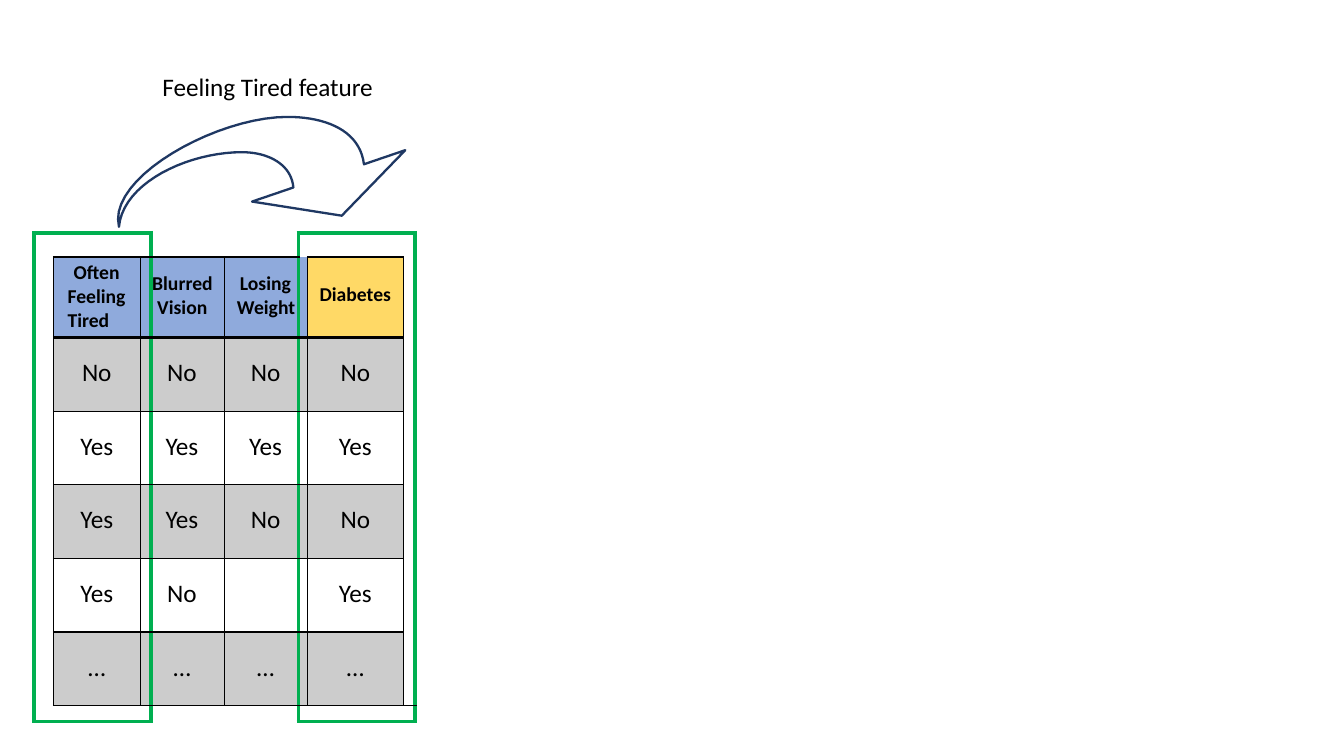
from lxml import etree
from pptx import Presentation, util as u
from pptx.dml.color import RGBColor
from pptx.enum import text
from pptx.oxml import ns

PX = 9144  # 100 px to the inch
COLORS = {"black": "000000", "green": "00AF50", "blue": "8FAADC", "yellow": "FFD966", "navy": "1F3863"}
NO_STYLE = "{2D5ABB26-0587-4C30-8999-92F81FD0307C}"

# The narrow outer rows and columns, and columns 2 and 5, leave room for the green frames.
COLS = [19, 86, 11, 73, 73, 9, 95, 12]
ROWS = [24, 80, 73, 73, 73, 73, 73, 16]
INNER = range(1, 7)  # rows and columns of the data table inside the frames
HEADER_ROW, FIRST_ANSWER_ROW, TARGET_COL = 1, 2, 6

# Top left cell of each merged block: its bottom right cell
MERGES = {(r, c): (r, c2) for r in (0, 7) for c, c2 in ((0, 2), (3, 4), (5, 7))}
MERGES.update({(1, c): (6, c) for c in (0, 7)})

# column: text, top margin, alignment, left indent, first line indent
HEADERS = {
    1: ("Often Feeling Tired", 4, text.PP_ALIGN.JUSTIFY, 14, 6),
    3: ("Blurred Vision", 15, text.PP_ALIGN.LEFT, 6, -5),
    4: ("Losing Weight", 15, text.PP_ALIGN.LEFT, 12, 3),
    6: ("Diabetes", 26, text.PP_ALIGN.CENTER, 0, 0),
}
SIDE_MARGINS = {3: (0, 12), 4: (8, 0)}
ANSWERS = [
    ["No", "No", "No", "No"],
    ["Yes", "Yes", "Yes", "Yes"],
    ["Yes", "Yes", "No", "No"],
    ["Yes", "No", "", "Yes"],
    ["…", "…", "…", "…"],
]
ANSWER_AT = {
    (r, c): answer
    for r, answers in enumerate(ANSWERS, FIRST_ANSWER_ROW)
    for c, answer in zip(HEADERS, answers)
    if answer
}

# Bezier curves of the arrow: start, two control points, end
OUTER_BEND = [
    ((361, 163), (357, 130), (324, 116), (285, 116)),
    ((285, 116), (215, 116), (106, 176), (118, 225)),
]
INNER_BEND = [
    ((118, 225), (122, 181), (187, 151), (240, 151)),
    ((240, 151), (266, 151), (289, 163), (291, 186)),
]
ARROWHEAD = [(250, 200), (339, 214), (402, 149)]
CURVE_STEPS = 20


def edge(vertical, line, track):
    """Colour and width in points of a grid line where it passes one row or column."""
    if vertical:
        if line in (0, 3, 5, 8):
            return "green", 3
        return ("black", 1) if track in INNER else None
    if line in (0, 8):
        return None if track in (3, 4) else ("green", 3)
    if (line, track) == (1, 5):
        return None
    if track in INNER or (line, track) == (7, 7):
        return "black", 2.25 if line == FIRST_ANSWER_ROW else 1
    return None


def write(p, words, size, bold=False):
    r = p.add_run()
    r.text = words
    for key, value in {"name": "Calibri", "size": u.Pt(size), "bold": bold}.items():
        setattr(r.font, key, value)
    r.font.color.rgb = RGBColor.from_string(COLORS["black"])


prs = Presentation()
prs.slide_width, prs.slide_height = 1333 * PX, 750 * PX
s = prs.slides.add_slide(prs.slide_layouts[6])

# Table
frame = s.shapes.add_table(len(ROWS), len(COLS), 34 * PX, 231 * PX, sum(COLS) * PX, sum(ROWS) * PX)
table = frame.table
table.first_row = table.horz_banding = False
table._tbl.tblPr.find(ns.qn("a:tableStyleId")).text = NO_STYLE
for column, width in zip(table.columns, COLS):
    column.width = width * PX
for row, height in zip(table.rows, ROWS):
    row.height = height * PX

for r in range(len(ROWS)):
    for c in range(len(COLS)):
        cell = table.cell(r, c)
        tcPr = cell._tc.get_or_add_tcPr()
        bottom, right = MERGES.get((r, c), (r, c))
        sides = {
            "lnL": edge(True, c, r),
            "lnR": edge(True, right + 1, r),
            "lnT": edge(False, r, c),
            "lnB": edge(False, bottom + 1, c),
        }
        for tag, border in sides.items():
            if border:
                color, width = border
                ln = etree.SubElement(tcPr, ns.qn(f"a:{tag}"), w=str(u.Pt(width)))
                solid = etree.SubElement(ln, ns.qn("a:solidFill"))
                etree.SubElement(solid, ns.qn("a:srgbClr"), val=COLORS[color])

        fill = None
        if c in INNER and r == HEADER_ROW:
            fill = "yellow" if c == TARGET_COL else "blue"
        elif c in INNER and r in INNER and r % 2 == 0:
            fill = "black"
        if fill:
            cell.fill.solid()
            cell.fill.fore_color.rgb = RGBColor.from_string(COLORS[fill])
        else:
            cell.fill.background()
        if fill == "black":
            shade = tcPr.find(ns.qn("a:solidFill"))[0]
            etree.SubElement(shade, ns.qn("a:alpha"), val="20000")

        cell.margin_left = cell.margin_right = cell.margin_top = cell.margin_bottom = 0
        p = cell.text_frame.paragraphs[0]
        if r == HEADER_ROW and c in HEADERS:
            words, top, p.alignment, left, first = HEADERS[c]
            cell.margin_top = top * PX
            pPr = p._p.get_or_add_pPr()
            pPr.set("marL", str(left * PX))
            pPr.set("indent", str(first * PX))
            write(p, words, 14, True)
        elif (r, c) in ANSWER_AT:
            left, right = SIDE_MARGINS.get(c, (0, 0))
            cell.margin_left, cell.margin_right, cell.margin_top = left * PX, right * PX, 20 * PX
            p.alignment = text.PP_ALIGN.CENTER
            write(p, ANSWER_AT[r, c], 18)
        else:  # small type keeps the narrow rows from growing
            p._p.get_or_add_endParaRPr().set("sz", "600")

for start, end in MERGES.items():
    table.cell(*start).merge(table.cell(*end))

# Curved arrow
outline = []
for curve in OUTER_BEND + INNER_BEND:
    for step in range(CURVE_STEPS + 1):
        t = step / CURVE_STEPS
        weights = ((1 - t) ** 3, 3 * t * (1 - t) ** 2, 3 * t**2 * (1 - t), t**3)
        outline.append([sum(w * k for w, k in zip(weights, axis)) for axis in zip(*curve)])
outline += ARROWHEAD
points = [(round(x * PX), round(y * PX)) for x, y in outline]
builder = s.shapes.build_freeform(*points[0])
builder.add_line_segments(points[1:], close=True)
arrow = builder.convert_to_shape()
arrow.shadow.inherit = False
arrow.fill.background()
arrow.line.color.rgb = RGBColor.from_string(COLORS["navy"])
arrow.line.width = u.Pt(1.64)

# Arrow label
label = s.shapes.add_textbox(160 * PX, 69 * PX, 212 * PX, 33 * PX)
tf = label.text_frame
margins = {"margin_left": PX, "margin_right": 0, "margin_top": 2 * PX, "margin_bottom": 0, "word_wrap": True}
for key, value in margins.items():
    setattr(tf, key, value)
write(tf.paragraphs[0], "Feeling Tired feature", 18)

prs.save("out.pptx")
